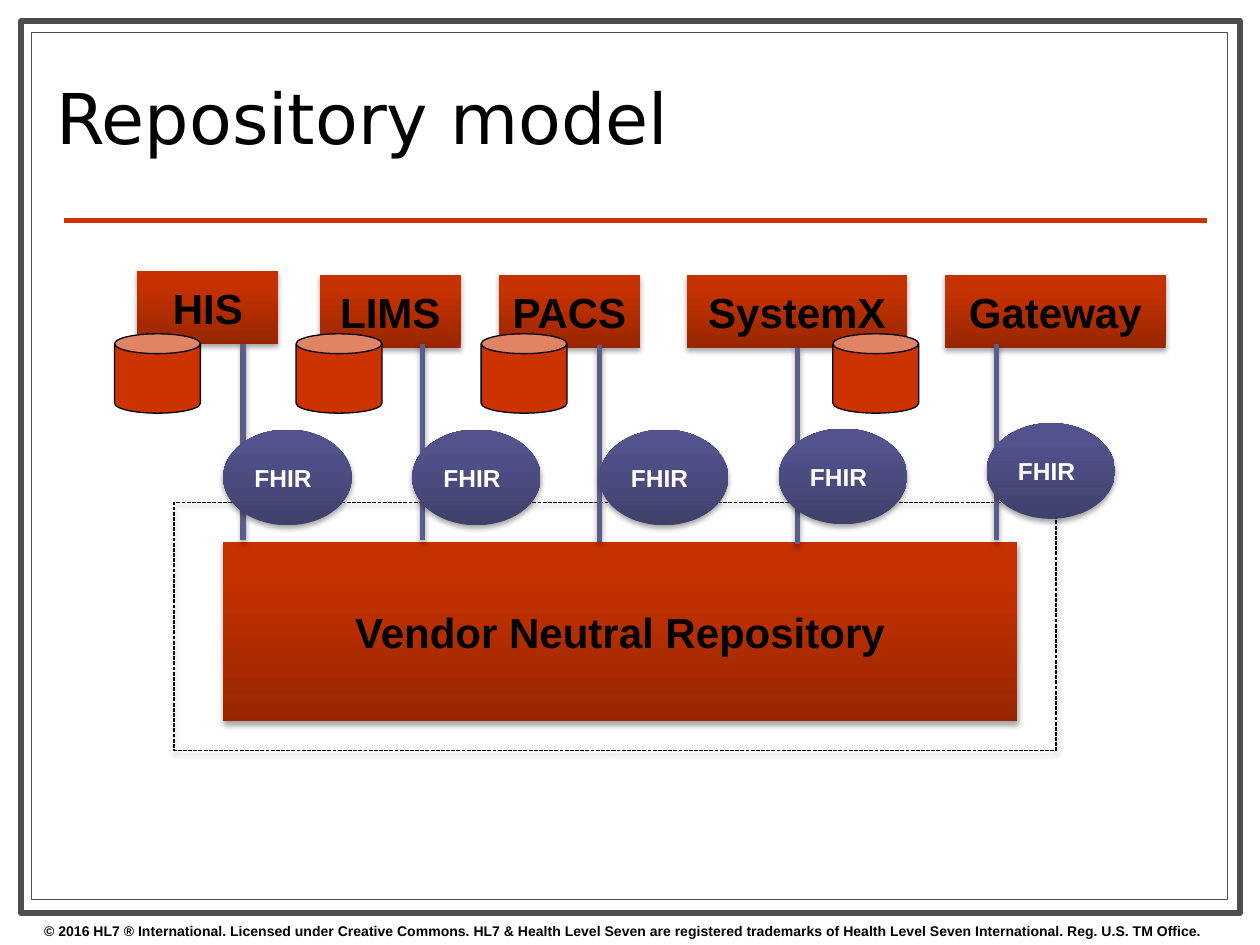
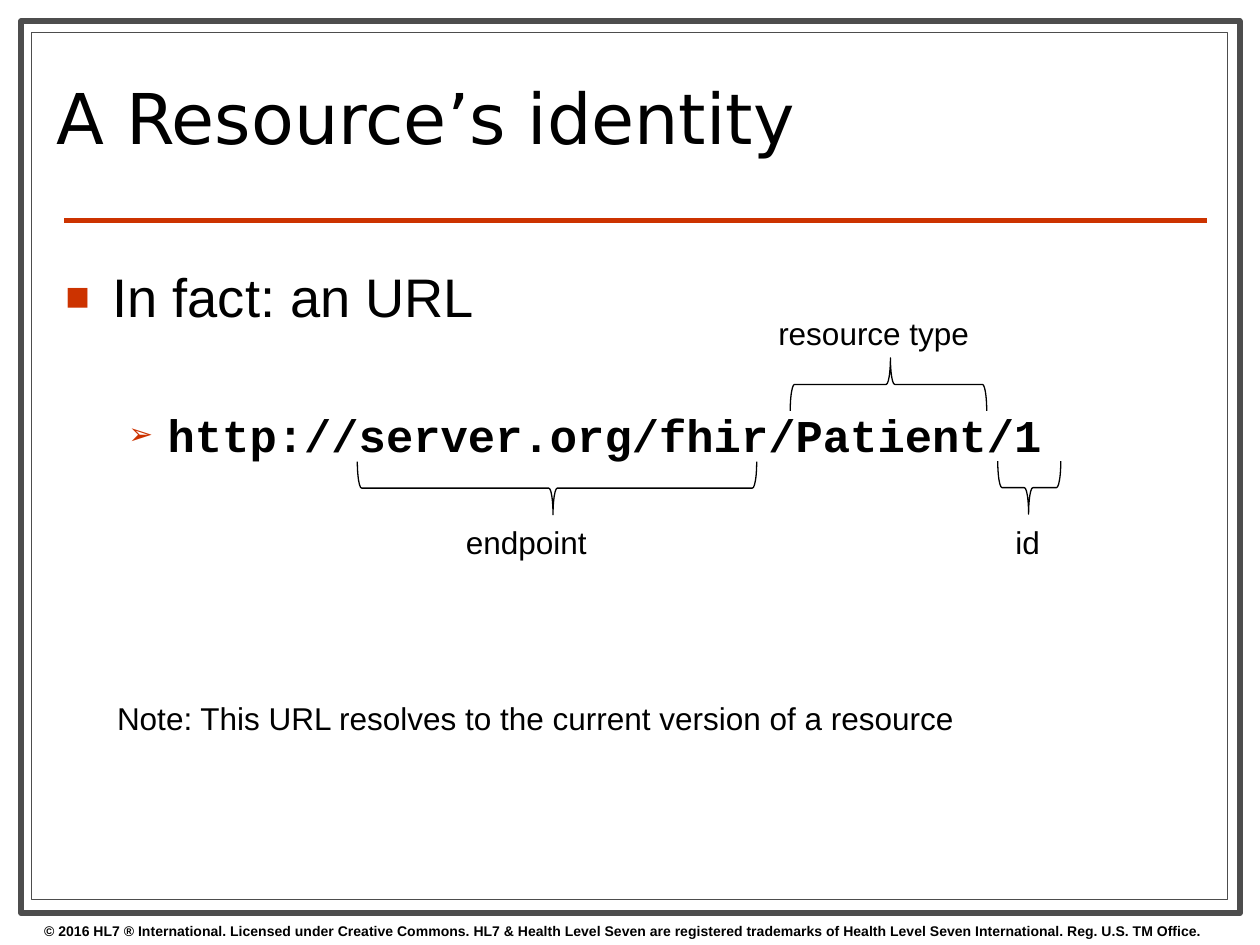
from dataclasses import dataclass
from typing import Optional

from lxml import etree
from pptx import Presentation
from pptx.dml.color import RGBColor
from pptx.enum import dml, shapes, text
from pptx.oxml.ns import qn
from pptx.util import Cm, Pt

BLACK = RGBColor(0x00, 0x00, 0x00)
WHITE = RGBColor(0xFF, 0xFF, 0xFF)
GREY = RGBColor(0x4D, 0x4D, 0x4D)
RED = RGBColor(0xCC, 0x33, 0x00)
WIRE = RGBColor(0x5C, 0x5C, 0x8A)
# Gradients run from the bottom colour to the top colour
BRICK = (RGBColor(0x98, 0x26, 0x00), RGBColor(0xC6, 0x31, 0x00))
NAVY = (RGBColor(0x40, 0x40, 0x6C), RGBColor(0x52, 0x52, 0x8C))

SANS, HEAD, MONO = "Arial", "DejaVu Sans", "Courier New"
KIND = shapes.MSO_SHAPE
MID = text.PP_ALIGN.CENTER
LEFT = text.PP_ALIGN.LEFT
FOOT = ("© 2016 HL7 ® International. Licensed under Creative Commons. "
        "HL7 & Health Level Seven are registered trademarks of "
        "Health Level Seven International. Reg. U.S. TM Office.")


@dataclass
class Box:
    x: float
    y: float
    w: float
    h: float

    def place(self) -> tuple:
        return Cm(self.x), Cm(self.y), Cm(self.w), Cm(self.h)


@dataclass
class System:
    name: str
    box: Box
    wire: tuple[float, float]
    node: tuple[float, float]
    store: Optional[float] = None


@dataclass
class Part:
    label: str
    mid: tuple[float, float]
    span: float
    turn: int
    box: Box


@dataclass
class Bullet:
    words: str
    font: str
    size: float
    bold: bool
    sign: str
    scale: int
    left: float
    hang: float
    gap: float


SYSTEMS = [
    System("HIS", Box(2.77, 5.46, 2.84, 1.47), (4.9, 6.93), (4.5, 8.66), 2.31),
    System("LIMS", Box(6.45, 5.54, 2.84, 1.47), (8.51, 6.93), (8.31, 8.66), 5.97),
    System("PACS", Box(10.06, 5.54, 2.84, 1.47), (12.09, 6.96), (12.09, 8.66), 9.7),
    System("SystemX", Box(13.84, 5.54, 4.45, 1.47), (16.08, 7.01), (15.7, 8.64), 16.79),
    System("Gateway", Box(19.05, 5.54, 4.45, 1.47), (20.09, 6.93), (19.89, 8.53)),
]

PARTS = [
    Part("endpoint", (11.23, 9.84), 8.05, 270, Box(9.14, 10.41, 2.97, 1.02)),
    Part("resource type", (17.91, 7.75), 3.96, 90, Box(15.44, 6.2, 4.39, 1.02)),
    Part("id", (20.75, 9.83), 1.27, 270, Box(20.22, 10.41, 1.02, 1.02)),
]

BULLETS = [
    Bullet("In fact: an URL", SANS, 31, False, "■", 75, 0.95, 0.95, 0),
    Bullet("http://server.org/fhir/Patient/1", MONO, 26, True, "➢", 65, 2.06, 0.79, 45),
]


# Text and effects
def style(para, size: float, font: str = SANS, bold: bool = False,
          color: RGBColor = BLACK) -> None:
    for run in para.runs:
        run.font.size = Pt(size)
        run.font.name = font
        run.font.bold = bold
        run.font.color.rgb = color


def write(slide, box: Box, words: str, size: float, font: str = SANS,
          bold: bool = False, wrap: bool = True, grow: bool = True):
    frame = slide.shapes.add_textbox(*box.place()).text_frame
    frame.word_wrap = wrap
    if grow:
        frame.auto_size = text.MSO_AUTO_SIZE.SHAPE_TO_FIT_TEXT
    frame.text = words
    style(frame.paragraphs[0], size, font, bold)
    return frame


def shade(item, alpha: int = 35) -> None:
    """Give a shape or connector a soft shadow below it."""
    props = item._element.spPr
    list_ = props.find(qn("a:effectLst"))
    if list_ is None:
        list_ = etree.SubElement(props, qn("a:effectLst"))
    cast = etree.SubElement(list_, qn("a:outerShdw"), blurRad=str(Pt(3.1)),
                            dist=str(Pt(1.8)), dir="5400000", rotWithShape="0")
    color = etree.SubElement(cast, qn("a:srgbClr"), val=str(BLACK))
    etree.SubElement(color, qn("a:alpha"), val=str(alpha * 1000))


# Shapes and lines
def draw(slide, kind, box: Box, fill: Optional[RGBColor] = None,
         line: Optional[RGBColor] = BLACK, width: float = 0.75):
    shape = slide.shapes.add_shape(kind, *box.place())
    shape.shadow.inherit = False
    if fill is None:
        shape.fill.background()
    else:
        shape.fill.solid()
        shape.fill.fore_color.rgb = fill
    if line is None:
        shape.line.fill.background()
    else:
        shape.line.color.rgb = line
        shape.line.width = Pt(width)
    return shape


def block(slide, kind, box: Box, blend: tuple, words: str, size: float,
          color: RGBColor, align) -> None:
    """Draw a labelled shape with a gradient and a shadow."""
    shape = draw(slide, kind, box, line=None)
    shape.fill.gradient()
    shape.fill.gradient_angle = 90
    for stop, tone, spot in zip(shape.fill.gradient_stops, blend, (0, 0.8)):
        stop.color.rgb = tone
        stop.position = spot
    shade(shape)
    shape.text_frame.text = words
    para = shape.text_frame.paragraphs[0]
    para.alignment = align
    style(para, size, bold=True, color=color)


def rule(slide, x1: float, y1: float, x2: float, y2: float, color: RGBColor):
    line = slide.shapes.add_connector(
        shapes.MSO_CONNECTOR.STRAIGHT, Cm(x1), Cm(y1), Cm(x2), Cm(y2))
    line.line.color.rgb = color
    line.line.width = Pt(3)
    etree.SubElement(line._element.spPr, qn("a:effectLst"))
    return line


# Shared frame, rule, footer and title
def start(deck, title: str, width: float):
    slide = deck.slides.add_slide(deck.slide_layouts[6])
    draw(slide, KIND.RECTANGLE, Box(0.43, 0.43, 24.56, 17.98), WHITE, GREY, 3.5)
    draw(slide, KIND.RECTANGLE, Box(0.64, 0.66, 24.1, 17.48), WHITE, GREY)
    rule(slide, 1.3, 4.45, 24.33, 4.45, RED)
    write(slide, Box(0.64, 18.47, 24.76, 0.58), FOOT, 8, bold=True)
    frame = write(slide, Box(0.89, 0.91, width, 3.2), title, 40, HEAD, grow=False)
    frame.vertical_anchor = text.MSO_ANCHOR.MIDDLE
    frame.paragraphs[0].line_spacing = 0.8
    return slide


def add_model(deck) -> None:
    slide = start(deck, "Repository model", 18.21)

    # Repository and its boundary
    block(slide, KIND.RECTANGLE, Box(4.5, 10.92, 16, 3.61), BRICK,
          "Vendor Neutral Repository", 24, BLACK, MID)
    edge = draw(slide, KIND.RECTANGLE, Box(3.51, 10.13, 17.78, 5))
    edge.line.dash_style = dml.MSO_LINE.SQUARE_DOT
    shade(edge, 38)

    # Systems with their stores, wires and interfaces
    for item in SYSTEMS:
        block(slide, KIND.RECTANGLE, item.box, BRICK, item.name, 24, BLACK, MID)
        if item.store is not None:
            draw(slide, KIND.CAN, Box(item.store, 6.73, 1.73, 1.6), RED)
        x, y = item.wire
        shade(rule(slide, x, y + 3.96, x, y, WIRE))
        block(slide, KIND.OVAL, Box(*item.node, 2.59, 1.93), NAVY,
              "FHIR", 14, WHITE, LEFT)


def mark(para, item: Bullet) -> None:
    props = para._p.get_or_add_pPr()
    props.set("marL", str(Cm(item.left)))
    props.set("indent", str(-Cm(item.hang)))
    color = etree.SubElement(props, qn("a:buClr"))
    etree.SubElement(color, qn("a:srgbClr"), val=str(RED))
    etree.SubElement(props, qn("a:buSzPct"), val=str(item.scale * 1000))
    etree.SubElement(props, qn("a:buFont"), typeface=SANS)
    etree.SubElement(props, qn("a:buChar"), char=item.sign)


def add_url(deck) -> None:
    slide = start(deck, "A Resource’s identity", 20.37)

    # Bulleted address
    body = slide.shapes.add_textbox(*Box(1.07, 5.08, 23.29, 12.45).place())
    frame = body.text_frame
    frame.word_wrap = True
    frame.margin_top = Cm(0.23)
    for rank, item in enumerate(BULLETS):
        para = frame.add_paragraph() if rank else frame.paragraphs[0]
        para.text = item.words
        para.level = rank
        mark(para, item)
        para.space_before = Pt(item.gap)
        style(para, item.size, item.font, item.bold)

    # Braces naming the parts of the address
    deep = 1.07
    for part in PARTS:
        x, y = part.mid
        brace = draw(slide, KIND.LEFT_BRACE,
                     Box(x - deep / 2, y - part.span / 2, deep, part.span))
        brace.rotation = part.turn
        brace.adjustments[0] = 0.08
        brace.adjustments[1] = 0.49
        write(slide, part.box, part.label, 18, wrap=False)

    write(slide, Box(2.11, 13.97, 17.55, 1.02),
          "Note: This URL resolves to the current version of a resource",
          18, wrap=False)


def main() -> None:
    deck = Presentation()
    deck.slide_width, deck.slide_height = Cm(25.4), Cm(19.05)
    add_model(deck)
    add_url(deck)
    deck.save("out.pptx")


if __name__ == "__main__":
    main()
